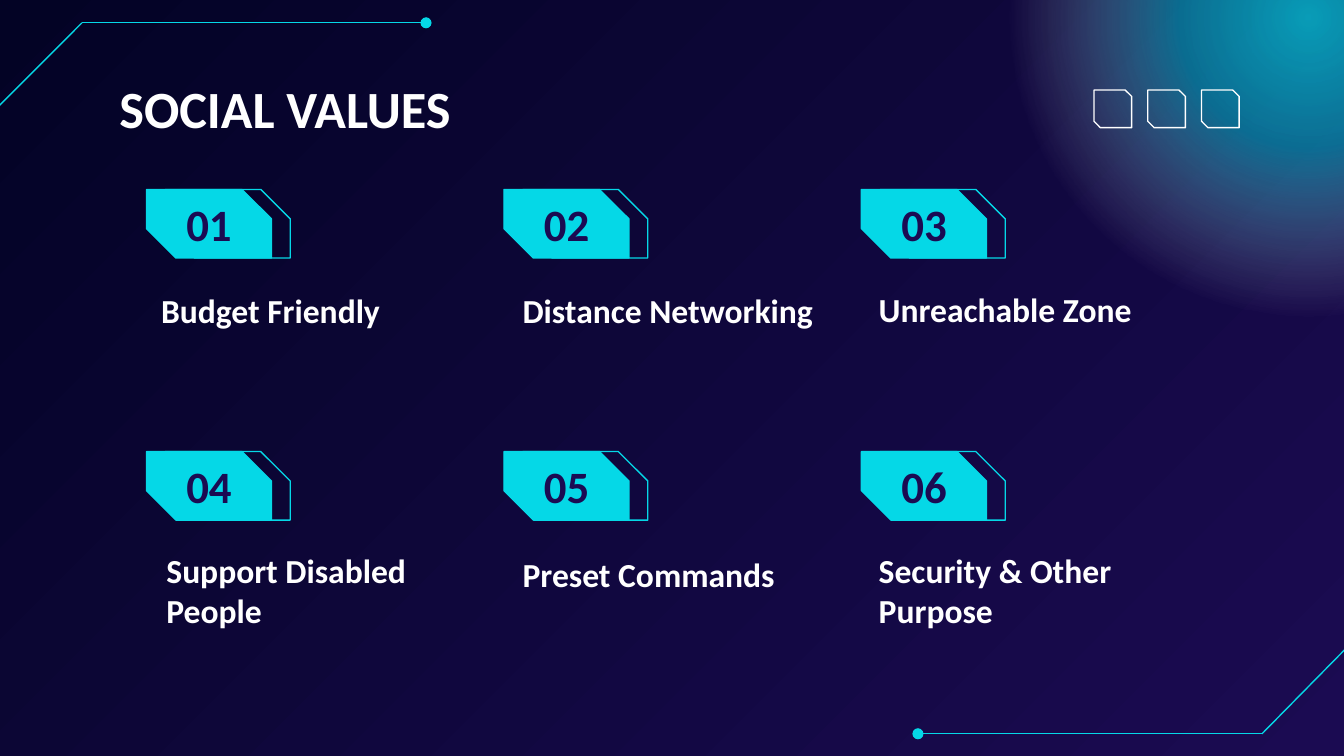
from lxml import etree
from pptx import Presentation
from pptx.dml.color import RGBColor
from pptx.enum.shapes import MSO_CONNECTOR, MSO_SHAPE
from pptx.enum.text import MSO_ANCHOR, PP_ALIGN
from pptx.oxml import parse_xml
from pptx.oxml.ns import nsdecls, qn
from pptx.util import Inches, Pt

STRAIGHT = MSO_CONNECTOR.STRAIGHT
SNIP, OVAL = MSO_SHAPE.SNIP_2_DIAG_RECTANGLE, MSO_SHAPE.OVAL
TOP, MIDDLE, BOTTOM = MSO_ANCHOR.TOP, MSO_ANCHOR.MIDDLE, MSO_ANCHOR.BOTTOM
LEFT, CENTER = PP_ALIGN.LEFT, PP_ALIGN.CENTER
CYAN = RGBColor(0x05, 0xD8, 0xE7)
WHITE = RGBColor(0xFF, 0xFF, 0xFF)
NAVY = RGBColor(0x03, 0x03, 0x25)
PURPLE = RGBColor(0x1B, 0x0B, 0x52)


def add_snip(x, y, w, h, snip, color, filled=False):
    sp = s.shapes.add_shape(SNIP, Inches(x), Inches(y), Inches(w), Inches(h))
    sp.shadow.inherit = False
    sp.adjustments[0] = 0
    sp.adjustments[1] = snip
    if filled:
        sp.fill.solid()
        sp.fill.fore_color.rgb = color
    else:
        sp.fill.background()
    sp.line.color.rgb = color
    sp.line.width = Pt(0.75)


def add_text(text, x, y, w, h, size, color=WHITE, anchor=TOP, align=LEFT):
    tf = s.shapes.add_textbox(Inches(x), Inches(y), Inches(w), Inches(h)).text_frame
    tf.word_wrap = True
    tf.vertical_anchor = anchor
    tf.margin_left = tf.margin_right = tf.margin_top = tf.margin_bottom = Inches(0.1)
    p = tf.paragraphs[0]
    p.alignment = align
    r = p.add_run()
    r.text = text
    r.font.name = "Calibri"
    r.font.size = Pt(size)
    r.font.bold = True
    r.font.color.rgb = color


prs = Presentation()
prs.slide_width = Inches(10)
prs.slide_height = Inches(10) * 9 // 16
s = prs.slides.add_slide(prs.slide_layouts[6])

bg = s.background.fill
bg.gradient()
bg.gradient_angle = 315
for stop, color, position in zip(bg.gradient_stops, (NAVY, PURPLE), (0, 1)):
    stop.color.rgb = color
    stop.position = position

glow = s.shapes.add_shape(OVAL, Inches(7.45), Inches(-2.15), Inches(4.56), Inches(4.56))
glow.shadow.inherit = False
glow.line.fill.background()
stops = "".join(
    f'<a:gs pos="{pos * 1000}"><a:srgbClr val="{color}">'
    f'<a:alpha val="{alpha * 1000}"/></a:srgbClr></a:gs>'
    for pos, color, alpha in [(0, CYAN, 71), (30, CYAN, 48), (69, WHITE, 0), (100, WHITE, 0)]
)
glow_fill = parse_xml(
    f'<a:gradFill {nsdecls("a")} rotWithShape="1"><a:gsLst>{stops}</a:gsLst>'
    '<a:path path="circle"><a:fillToRect l="50000" t="50000" r="50000" b="50000"/></a:path>'
    "</a:gradFill>"
)
glow.element.spPr.find(qn("a:prstGeom")).addnext(glow_fill)

for x1, y1, x2, y2, dotted in [
    (-0.02, 0.8, 0.61, 0.17, False),
    (0.61, 0.17, 3.17, 0.17, True),
    (10.02, 4.82, 9.39, 5.46, False),
    (9.39, 5.46, 6.83, 5.46, True),
]:
    line = s.shapes.add_connector(STRAIGHT, Inches(x1), Inches(y1), Inches(x2), Inches(y2))
    line.line.color.rgb = CYAN
    line.line.width = Pt(0.75)
    spPr = line.element.spPr
    if dotted:
        etree.SubElement(spPr.find(qn("a:ln")), qn("a:tailEnd"), type="oval")
    etree.SubElement(spPr, qn("a:effectLst"))

add_text("SOCIAL VALUES", 0.79, 0.47, 7.85, 0.67, 28)

values = [
    ("Budget Friendly", 1.1, 2.06, 0.5),
    ("Distance Networking", 3.79, 2.06, 0.5),
    ("Unreachable Zone", 6.44, 2.05, 0.5),
    ("Support Disabled People", 1.14, 4.29, 0.5),
    ("Preset Commands", 3.79, 4.02, 0.5),
    ("Security & Other Purpose", 6.44, 4.07, 0.72),
]
for i, (label, label_x, label_y, label_h) in enumerate(values):
    row, col = divmod(i, 3)
    x = 1.09 + 2.66 * col
    y = 1.41 + 1.95 * row
    add_snip(x + 0.14, y, 0.93, 0.51, 0.43, CYAN)
    add_snip(x, y, 0.93, 0.51, 0.43, CYAN, filled=True)
    add_text(f"{i + 1:02}", x + 0.14, y - 0.05, 0.65, 0.61, 24, PURPLE, MIDDLE, CENTER)
    add_text(label, label_x, label_y, 2.5, label_h, 18, anchor=BOTTOM)

for i in range(3):
    add_snip(8.14 + 0.4 * i, 0.67, 0.28, 0.28, 0.17, WHITE)

prs.save("out.pptx")
